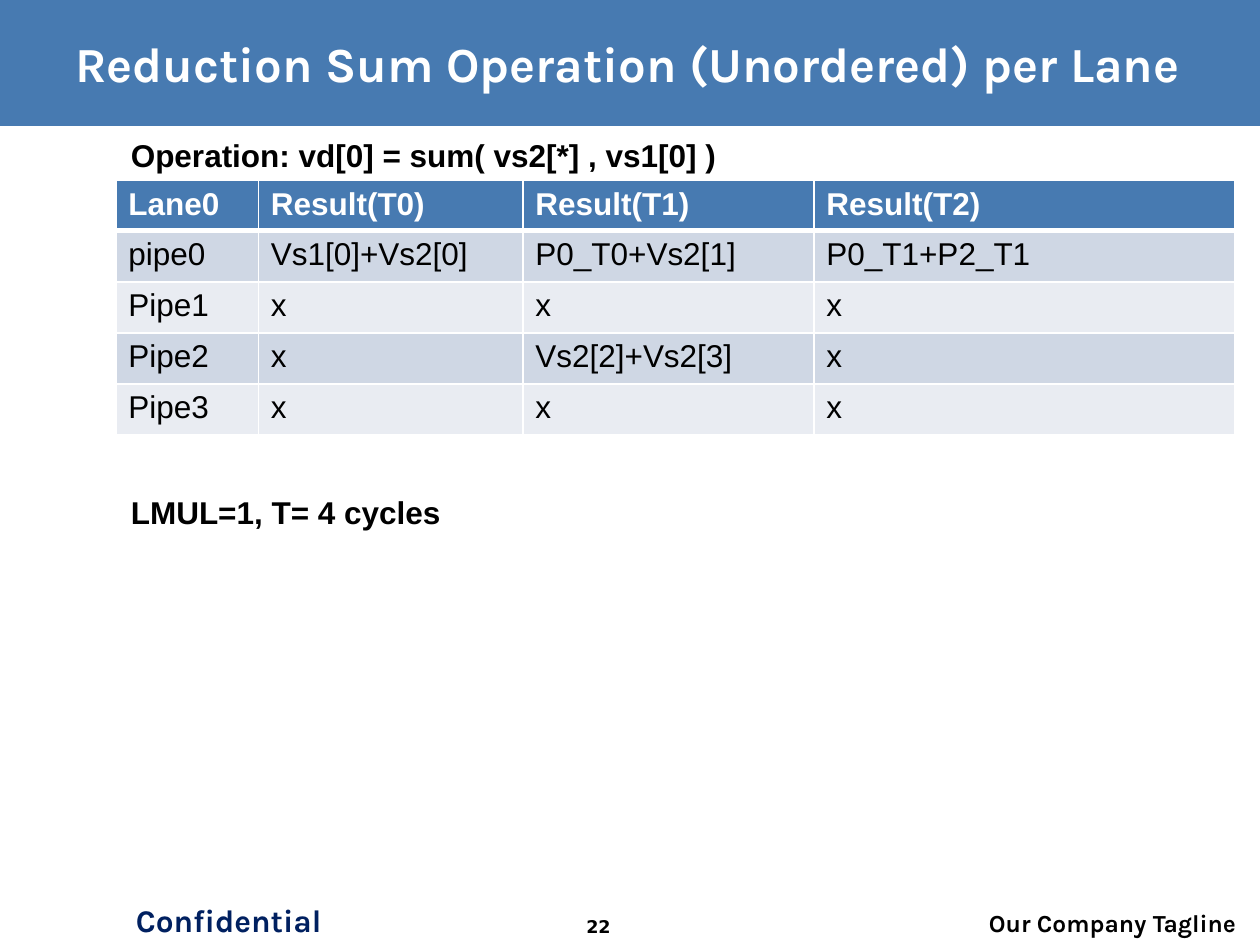
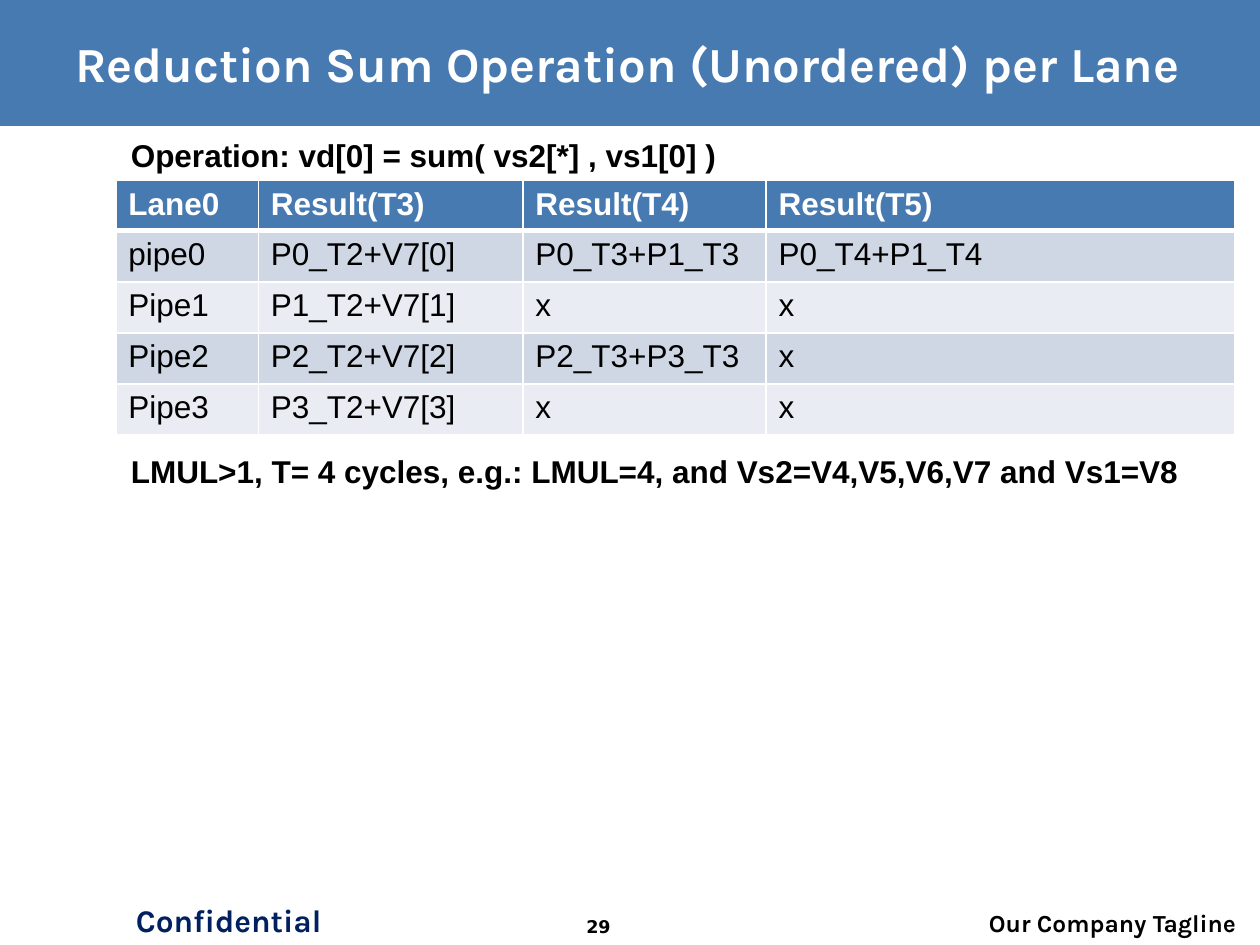
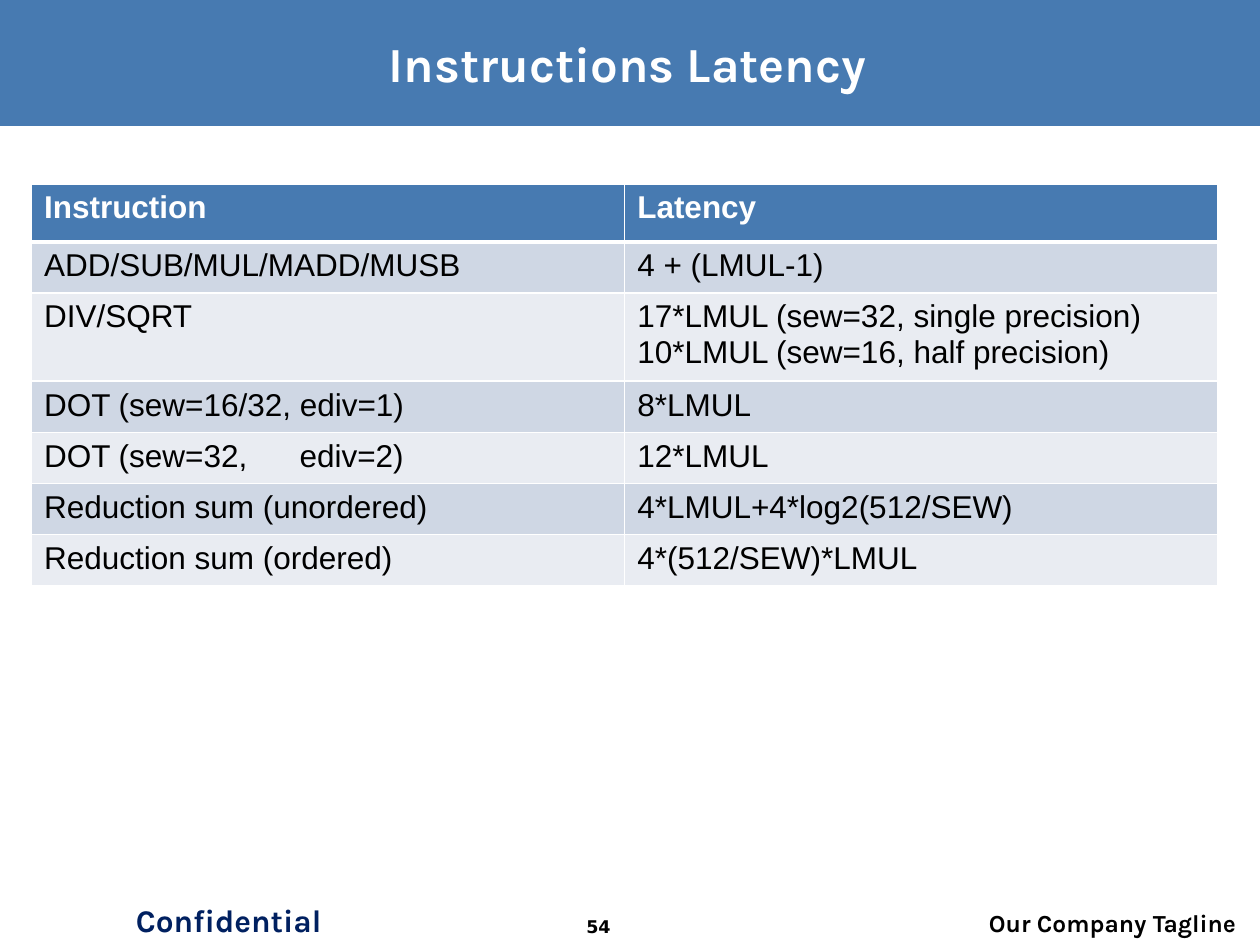
from lxml import etree
from pptx import Presentation
from pptx.dml.color import RGBColor
from pptx.enum import shapes, text
from pptx.oxml import ns
from pptx.util import Pt

BLUE = RGBColor(0x47, 0x7A, 0xB1)
NAVY = RGBColor(0x00, 0x20, 0x60)
BLACK = RGBColor(0x00, 0x00, 0x00)
WHITE = RGBColor(0xFF, 0xFF, 0xFF)
ROW_FILLS = (RGBColor(0xCF, 0xD7, 0xE4), RGBColor(0xE9, 0xEC, 0xF2))

BODY_FONT = "Arial"
BRAND_FONT = "Karla"
NUMBER_FONT = "DejaVu Sans"

WIDTH, HEIGHT = 720, 540
ROW_HEIGHT = 29.2
TEXT_LEFT = 67.7
LANE_LEFT, LANE_TOP = 66.2, 103
TAB_STOP = 146

LEFT, CENTER, RIGHT = text.PP_ALIGN.LEFT, text.PP_ALIGN.CENTER, text.PP_ALIGN.RIGHT
SUM_TITLE = "Reduction Sum Operation (Unordered) per Lane"

FIRST_STEPS = [
    ("Lane0", "Result(T0)", "Result(T1)", "Result(T2)"),
    ("pipe0", "Vs1[0]+Vs2[0]", "P0_T0+Vs2[1]", "P0_T1+P2_T1"),
    ("Pipe1", "x", "x", "x"),
    ("Pipe2", "x", "Vs2[2]+Vs2[3]", "x"),
    ("Pipe3", "x", "x", "x"),
]
LAST_STEPS = [
    ("Lane0", "Result(T3)", "Result(T4)", "Result(T5)"),
    ("pipe0", "P0_T2+V7[0]", "P0_T3+P1_T3", "P0_T4+P1_T4"),
    ("Pipe1", "P1_T2+V7[1]", "x", "x"),
    ("Pipe2", "P2_T2+V7[2]", "P2_T3+P3_T3", "x"),
    ("Pipe3", "P3_T2+V7[3]", "x", "x"),
]
LATENCIES = [
    ("Instruction", "Latency"),
    ("ADD/SUB/MUL/MADD/MUSB", "4 + (LMUL-1)"),
    ("DIV/SQRT", "17*LMUL (sew=32, single precision)\n10*LMUL (sew=16, half precision)"),
    ("DOT (sew=16/32, ediv=1)", "8*LMUL"),
    ("DOT (sew=32,\tediv=2)", "12*LMUL"),
    ("Reduction sum (unordered)", "4*LMUL+4*log2(512/SEW)"),
    ("Reduction sum (ordered)", "4*(512/SEW)*LMUL"),
]


def add_run(p, words, size, font, color, bold):
    r = p.add_run()
    r.text = words
    r.font.size = Pt(size)
    r.font.name = font
    r.font.bold = bold
    r.font.color.rgb = color
    return r


def add_text(s, box, words, size=18, font=BODY_FONT, color=BLACK, align=LEFT,
             anchor=text.MSO_ANCHOR.TOP):
    """Add a one-line bold text box and return its run."""
    tf = s.shapes.add_textbox(*map(Pt, box)).text_frame
    tf.word_wrap = True
    tf.vertical_anchor = anchor
    p = tf.paragraphs[0]
    p.alignment = align
    return add_run(p, words, size, font, color, True)


def add_text_shadow(r):
    effects = etree.Element(ns.qn("a:effectLst"))
    shadow = etree.SubElement(effects, ns.qn("a:outerShdw"),
                              dist="38100", dir="2700000", algn="tl")
    etree.SubElement(shadow, ns.qn("a:srgbClr"), val=str(BLACK))
    r.font.fill  # the fill must precede the effect list
    r._r.rPr.find(ns.qn("a:solidFill")).addnext(effects)


def add_tab_stop(p, position):
    tabs = etree.SubElement(p._p.get_or_add_pPr(), ns.qn("a:tabLst"))
    etree.SubElement(tabs, ns.qn("a:tab"), pos=str(Pt(position)), algn="l")


def set_borders(cell, top, bottom):
    tc_pr = cell._tc.get_or_add_tcPr()
    for side, width in (("L", 1), ("R", 1), ("T", top), ("B", bottom)):
        ln = etree.SubElement(tc_pr, ns.qn("a:ln" + side), w=str(Pt(width)))
        fill = etree.SubElement(ln, ns.qn("a:solidFill"))
        etree.SubElement(fill, ns.qn("a:srgbClr"), val=str(WHITE))


def fill_cell(cell, words, row):
    header = row == 0
    set_borders(cell, top=3 if row == 1 else 1, bottom=3 if header else 1)
    cell.fill.solid()
    cell.fill.fore_color.rgb = BLUE if header else ROW_FILLS[(row - 1) % 2]
    tf = cell.text_frame
    for i, line in enumerate(words.split("\n")):
        p = tf.add_paragraph() if i else tf.paragraphs[0]
        if "\t" in line:
            add_tab_stop(p, TAB_STOP)
        add_run(p, line, 18, BODY_FONT, WHITE if header else BLACK, header)


def add_grid(s, left, top, widths, header_height, rows):
    heights = [header_height] + [ROW_HEIGHT] * (len(rows) - 1)
    table = s.shapes.add_table(len(rows), len(widths), Pt(left), Pt(top),
                               Pt(sum(widths)), Pt(sum(heights))).table
    for column, width in zip(table.columns, widths):
        column.width = Pt(width)
    for i, (row, height) in enumerate(zip(rows, heights)):
        table.rows[i].height = Pt(height)
        for j, words in enumerate(row):
            fill_cell(table.cell(i, j), words, i)


def add_slide(prs, title, number):
    """Add a slide with the title band and the footer."""
    s = prs.slides.add_slide(prs.slide_layouts[6])
    band = s.shapes.add_shape(shapes.MSO_SHAPE.RECTANGLE, 0, 0, Pt(WIDTH), Pt(72))
    band.shadow.inherit = False
    band.fill.solid()
    band.fill.fore_color.rgb = BLUE
    band.line.fill.background()
    add_text(s, (TEXT_LEFT, 511.2, 126, 30), "Confidential", 18, BRAND_FONT, NAVY, CENTER)
    add_text(s, (543, 515.5, 170.5, 19.5), "Our Company Tagline", 14, BRAND_FONT, align=RIGHT)
    add_text(s, (309, 520, 66, 20), str(number), 10, NUMBER_FONT, align=CENTER)
    add_text_shadow(add_text(s, (16, 12, 685, 48), title, 28, BRAND_FONT, WHITE,
                             CENTER, text.MSO_ANCHOR.MIDDLE))
    return s


def add_lane_slide(prs, number, widths, rows, note, note_top):
    s = add_slide(prs, SUM_TITLE, number)
    add_grid(s, LANE_LEFT, LANE_TOP, widths, 21.6, rows)
    add_text(s, (TEXT_LEFT, 74.2, 354, 29), "Operation: vd[0] = sum( vs2[*] , vs1[0] )")
    add_text(s, (TEXT_LEFT, note_top, 638, 29), note)


def main():
    prs = Presentation()
    prs.slide_width, prs.slide_height = Pt(WIDTH), Pt(HEIGHT)
    add_lane_slide(prs, 22, (81.4, 151.2, 166.3, 240.5), FIRST_STEPS,
                   "LMUL=1, T= 4 cycles", 278)
    add_lane_slide(prs, 29, (81.4, 151.2, 139, 267.8), LAST_STEPS,
                   "LMUL>1, T= 4 cycles, e.g.: LMUL=4, and Vs2=V4,V5,V6,V7 and Vs1=V8", 255)
    s = add_slide(prs, "Instructions Latency", 54)
    add_grid(s, 18, 105.2, (339, 339), 33, LATENCIES)
    prs.save("out.pptx")


if __name__ == "__main__":
    main()
